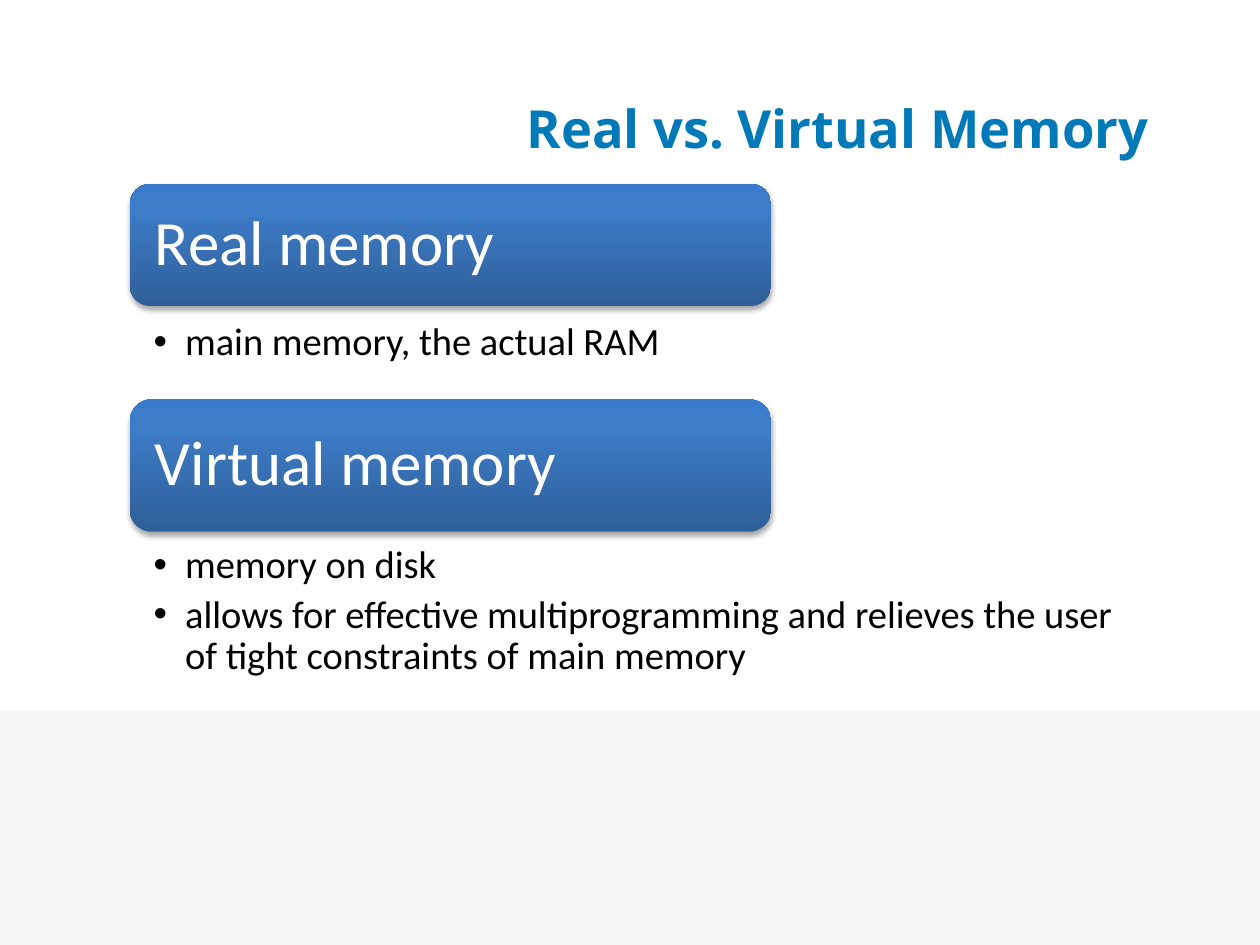
from copy import deepcopy

from lxml import etree
from pptx import Presentation
from pptx.dml.color import RGBColor
from pptx.enum import shapes, text
from pptx.oxml import ns
from pptx.util import Inches, Pt

WHITE = RGBColor(0xFF, 0xFF, 0xFF)
BLACK = RGBColor(0, 0, 0)
TITLE_BLUE = RGBColor(0x00, 0x79, 0xB8)
FOOTER_GREY = RGBColor(0xF7, 0xF7, 0xF7)
BAR_STOPS = [
    (0, RGBColor(0x2F, 0x5F, 0x99)),
    (0.8, RGBColor(0x3D, 0x7C, 0xC7)),
    (1, RGBColor(0x3A, 0x7C, 0xCB)),
]

TITLE_FONT = {"name": "Open Sans", "size": Pt(30), "bold": True}
HEADING_FONT = {"name": "Calibri", "size": Pt(36)}
BULLET_FONT = {"name": "Calibri", "size": Pt(22)}

SECTIONS = [
    ("Real memory", (1.03, 1.46, 5.09, 0.97), ["main memory, the actual RAM"], (0.96, 2.53, 8.08, 1.18)),
    (
        "Virtual memory",
        (1.03, 3.17, 5.09, 1.05),
        [
            "memory on disk",
            "allows for effective multiprogramming and relieves the user of tight constraints of main memory",
        ],
        (0.96, 4.3, 8.08, 1.18),
    ),
]


def set_attrs(obj, values):
    for name, value in values.items():
        setattr(obj, name, value)


def add_text(s, box, lines, font, color, margins, anchor, bullet=False, **spacing):
    tf = s.shapes.add_textbox(*map(Inches, box)).text_frame
    sides = ("margin_left", "margin_top", "margin_right", "margin_bottom")
    set_attrs(tf, dict(zip(sides, map(Inches, margins))))
    set_attrs(tf, {"word_wrap": True, "vertical_anchor": anchor})
    for i, line in enumerate(lines):
        p = tf.paragraphs[0] if i == 0 else tf.add_paragraph()
        set_attrs(p, spacing)
        if bullet:
            pPr = p._p.get_or_add_pPr()
            pPr.set("marL", str(Inches(0.25)))
            pPr.set("indent", str(-Inches(0.25)))
            etree.SubElement(pPr, ns.qn("a:buFont"), typeface="Arial")
            etree.SubElement(pPr, ns.qn("a:buChar"), char="•")
        r = p.add_run()
        r.text = line
        set_attrs(r.font, font)
        r.font.color.rgb = color


def add_title(s, box):
    add_text(s, box, ["Real vs. Virtual Memory"], TITLE_FONT, TITLE_BLUE,
             (0.1, 0.05, 0.1, 0.05), text.MSO_ANCHOR.MIDDLE)


def add_footer_band(s, box):
    sp = s.shapes.add_shape(shapes.MSO_SHAPE.RECTANGLE, *map(Inches, box))
    sp.shadow.inherit = False
    sp.fill.solid()
    sp.fill.fore_color.rgb = FOOTER_GREY
    sp.line.fill.background()


def fill_bar(sp):
    sp.fill.gradient()
    sp.fill.gradient_angle = 90
    stop_list = sp._element.spPr.find(".//" + ns.qn("a:gsLst"))
    stop_list.append(deepcopy(stop_list[0]))
    for stop, (position, color) in zip(sp.fill.gradient_stops, BAR_STOPS):
        stop.position = position
        stop.color.rgb = color


def add_shadow(sp):
    sp.shadow.inherit = False
    effects = sp._element.spPr.find(ns.qn("a:effectLst"))
    shadow = etree.SubElement(effects, ns.qn("a:outerShdw"), blurRad=str(Pt(3.1)),
                              dist=str(Pt(1.8)), dir="5400000", rotWithShape="0")
    color = etree.SubElement(shadow, ns.qn("a:srgbClr"), val=str(BLACK))
    etree.SubElement(color, ns.qn("a:alpha"), val="35000")


def add_heading_bar(s, box, heading):
    sp = s.shapes.add_shape(shapes.MSO_SHAPE.ROUNDED_RECTANGLE, *map(Inches, box))
    fill_bar(sp)
    sp.line.fill.background()
    add_shadow(sp)
    x, y, w, h = box
    add_text(s, (x + 0.05, y + 0.05, w - 0.1, h - 0.1), [heading], HEADING_FONT, WHITE,
             (0.15,) * 4, text.MSO_ANCHOR.MIDDLE, line_spacing=0.9)


def add_bullets(s, box, lines):
    add_text(s, box, lines, BULLET_FONT, BLACK, (0.26, 0.03, 0.17, 0.03),
             text.MSO_ANCHOR.TOP, bullet=True, line_spacing=0.9, space_after=Pt(4.4))


def main():
    prs = Presentation()
    set_attrs(prs, {"slide_width": Inches(10), "slide_height": Inches(7.5)})
    s = prs.slides.add_slide(prs.slide_layouts[6])
    add_footer_band(s, (0, 5.64, 10, 1.86))
    add_title(s, (4.08, 0.58, 5.5, 0.87))
    for heading, bar_box, lines, list_box in SECTIONS:
        add_heading_bar(s, bar_box, heading)
        add_bullets(s, list_box, lines)
    prs.save("out.pptx")


if __name__ == "__main__":
    main()
